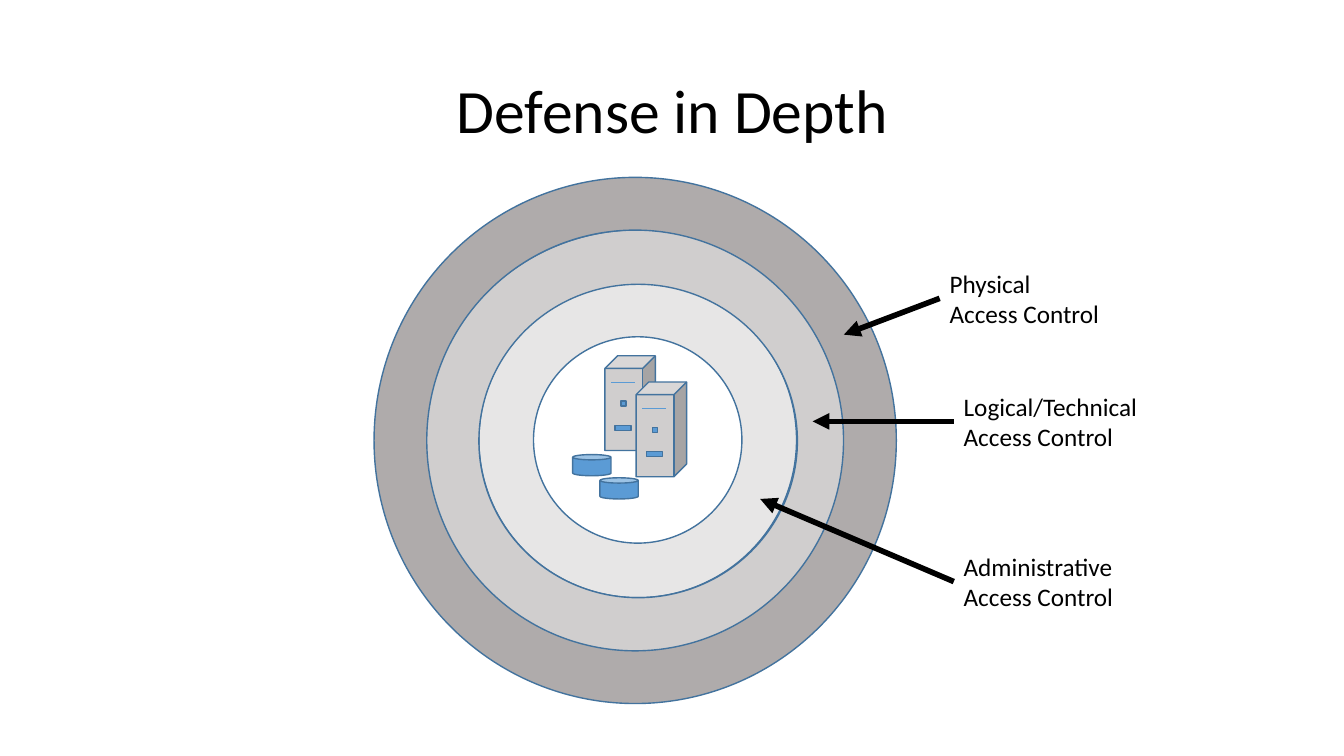
from pptx import Presentation
from pptx import util as u
from pptx.dml.color import RGBColor
from pptx.enum import shapes, text
from pptx.oxml.ns import qn
from lxml import etree

Inches, Pt = u.Inches, u.Pt
PRESET = shapes.MSO_SHAPE


def color(hex_code):
    return RGBColor.from_string(hex_code)


class Canvas:
    """Style and drawing methods for the current slide."""
    font, ink = "Calibri", "000000"
    accent, outline = "5B9BD5", "43739E"

    def __init__(self, slide):
        self.slide = slide

    def style(self, paragraph, size):
        paragraph.font.name = self.font
        paragraph.font.size = Pt(size)
        paragraph.font.color.rgb = color(self.ink)

    def title(self, wording, left, top, width, height):
        title = self.slide.shapes.title
        title.left, title.top = Inches(left), Inches(top)
        title.width, title.height = Inches(width), Inches(height)
        frame = title.text_frame
        frame.text = wording
        frame.vertical_anchor = text.MSO_ANCHOR.MIDDLE
        heading = frame.paragraphs[0]
        heading.alignment = text.PP_ALIGN.CENTER
        heading.line_spacing = 0.9
        self.style(heading, 44)

    def shape(self, preset, left, top, width, height, fill, adjust=None, parent=None):
        shape = (parent or self.slide).shapes.add_shape(
            preset, Inches(left), Inches(top), Inches(width), Inches(height))
        shape.shadow.inherit = False
        shape.fill.solid()
        shape.fill.fore_color.rgb = color(fill)
        shape.line.color.rgb = color(self.outline)
        shape.line.width = Pt(1)
        if adjust is not None:
            shape.adjustments[0] = adjust

    def line(self, start, end, stroke, width, arrow=False, parent=None):
        line = (parent or self.slide).shapes.add_connector(
            shapes.MSO_CONNECTOR.STRAIGHT, *map(Inches, start + end))
        line.line.color.rgb = color(stroke)
        line.line.width = Pt(width)
        properties = line.line._get_or_add_ln()
        if arrow:
            etree.SubElement(properties, qn("a:tailEnd"), type="triangle")
        etree.SubElement(properties.getparent(), qn("a:effectLst"))

    def label(self, lines, left, top, width, height):
        box = self.slide.shapes.add_textbox(
            Inches(left), Inches(top), Inches(width), Inches(height))
        frame = box.text_frame
        frame.word_wrap = False
        frame.auto_size = text.MSO_AUTO_SIZE.SHAPE_TO_FIT_TEXT
        frame.text = "\n".join(lines)
        for paragraph in frame.paragraphs:
            self.style(paragraph, 18)

    def server(self, left, top):
        tower = self.slide.shapes.add_group_shape()
        self.shape(PRESET.CUBE, left, top, 0.5, 0.94, "D0CECE", parent=tower)
        self.shape(PRESET.RECTANGLE, left + 0.16, top + 0.45, 0.05, 0.05,
                   self.accent, parent=tower)
        self.shape(PRESET.RECTANGLE, left + 0.1, top + 0.69, 0.16, 0.05,
                   self.accent, parent=tower)
        self.line((left + 0.06, top + 0.26), (left + 0.3, top + 0.26),
                  self.accent, 0.5, parent=tower)


deck = Presentation()
deck.slide_width, deck.slide_height = Inches(13.33), Inches(7.5)
canvas = Canvas(deck.slides.add_slide(deck.slide_layouts[5]))
canvas.title("Defense in Depth", 0.92, 0.4, 11.5, 1.45)

# Protected assets: servers and disks
for left, top in [(6, 3.53), (6.31, 3.79)]:
    canvas.server(left, top)
for left, top in [(5.68, 4.51), (5.95, 4.74)]:
    canvas.shape(PRESET.CAN, left, top, 0.38, 0.21, canvas.accent)

# Defense rings, from inner to outer
rings = [
    (4.75, 2.8, 3.15, 3.13, "E7E6E6", 0.173),
    (4.21, 2.28, 4.24, 4.19, "D0CECE", 0.129),
    (3.71, 1.76, 5.18, 5.22, "AFABAB", 0.101),
]
for ring in rings:
    canvas.shape(PRESET.DONUT, *ring)

# Control labels, each with an arrow from its left middle to its ring
controls = [
    ("Physical", 9.32, 2.61, 1.7, (8.37, 3.32)),
    ("Logical/Technical", 9.46, 3.83, 1.94, (8.06, 4.18)),
    ("Administrative", 9.46, 5.42, 1.7, (7.54, 4.95)),
]
for control, left, top, width, target in controls:
    canvas.label([control, "Access Control"], left, top, width, 0.71)
    canvas.line((left, top + 0.35), target, canvas.ink, 4, arrow=True)

deck.save("out.pptx")
